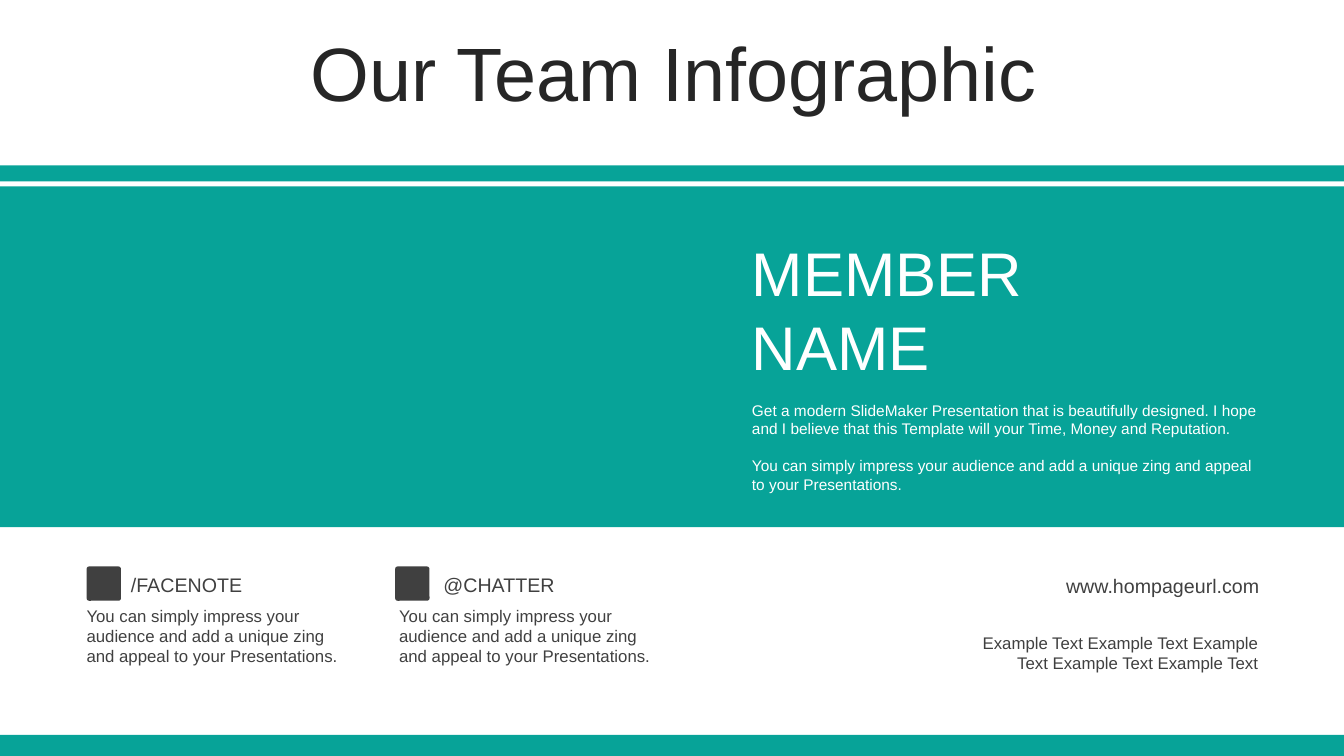
from dataclasses import dataclass

from pptx import Presentation
from pptx.dml.color import RGBColor
from pptx.enum.shapes import MSO_SHAPE
from pptx.enum.text import MSO_ANCHOR, MSO_AUTO_SIZE, PP_ALIGN
from pptx.util import Inches, Pt


@dataclass(frozen=True)
class Theme:
    """Hold the font, colours and type sizes."""
    font: str = "Arial"
    teal: str = "07A398"
    dark: str = "262626"
    gray: str = "404040"
    white: str = "FFFFFF"
    title: int = 54
    name: int = 44
    label: int = 14
    body: int = 12
    small: int = 11


THEME = Theme()
WIDE, HIGH = 13.33, 7.5
PITCH = "You can simply impress your audience and add a unique zing and appeal to your Presentations."
INTRO = ("Get a modern SlideMaker Presentation that is beautifully designed. "
         "I hope and I believe that this Template will your Time, Money and Reputation.")


def place(shape, box):
    """Move a shape to a box given in inches."""
    shape.left, shape.top, shape.width, shape.height = map(Inches, box)


def write(frame, lines, size, color, align=PP_ALIGN.LEFT, gap=0):
    """Fill a text frame with one run per paragraph."""
    for i, line in enumerate(lines):
        para = frame.add_paragraph() if i else frame.paragraphs[0]
        para.alignment = align
        para.space_before = Pt(gap if i else 0)
        run = para.add_run()
        run.text = line
        run.font.name = THEME.font
        run.font.size = Pt(size)
        run.font.color.rgb = RGBColor.from_string(color)


def add_title(slide, text, box):
    """Set the slide title in its placeholder."""
    title = slide.shapes.title
    place(title, box)
    frame = title.text_frame
    frame.auto_size = MSO_AUTO_SIZE.NONE
    frame.vertical_anchor = MSO_ANCHOR.MIDDLE
    write(frame, [text], THEME.title, THEME.dark, PP_ALIGN.CENTER)
    frame.paragraphs[0].line_spacing = 0.9


def add_text(slide, lines, box, size, color, anchor=MSO_ANCHOR.TOP, **style):
    """Add a wrapped text box."""
    frame = slide.shapes.add_textbox(*map(Inches, box)).text_frame
    frame.word_wrap = True
    frame.vertical_anchor = anchor
    write(frame, lines, size, color, **style)


def add_block(slide, box, color, kind=MSO_SHAPE.RECTANGLE):
    """Add a plain filled shape."""
    shape = slide.shapes.add_shape(kind, *map(Inches, box))
    shape.shadow.inherit = False
    shape.fill.solid()
    shape.fill.fore_color.rgb = RGBColor.from_string(color)
    shape.line.fill.background()
    return shape


def add_social(slide, label, icon, name, left):
    """Add a social column with icon, label and pitch."""
    badge = add_block(slide, (icon, 5.62, 0.34, 0.34), THEME.gray, MSO_SHAPE.ROUNDED_RECTANGLE)
    badge.adjustments[0] = 0.07
    add_text(slide, [label], (name, 5.63, 1.34, 0.34), THEME.label, THEME.gray, MSO_ANCHOR.MIDDLE)
    add_text(slide, [PITCH], (left, 5.96, 2.81, 0.71), THEME.body, THEME.gray)


def main():
    """Build the team slide and save it."""
    deck = Presentation()
    deck.slide_width, deck.slide_height = Inches(WIDE), Inches(HIGH)
    slide = deck.slides.add_slide(deck.slide_layouts[5])

    for top, height in ((1.85, 3.38), (1.64, 0.16), (7.29, 0.21)):
        add_block(slide, (0, top, WIDE, height), THEME.teal)
    add_title(slide, "Our Team Infographic", (0.35, 0.37, 12.66, 0.79))

    add_text(slide, ["MEMBER", "NAME"], (7.36, 2.28, 3.33, 1.58), THEME.name, THEME.white)
    add_text(slide, [INTRO, PITCH], (7.36, 3.93, 5.27, 1.03), THEME.small, THEME.white, gap=13)

    add_social(slide, "/FACENOTE", 0.86, 1.2, 0.76)
    add_social(slide, "@CHATTER", 3.92, 4.3, 3.86)

    add_text(slide, ["www.hompageurl.com"], (10.26, 5.64, 2.33, 0.34), THEME.label,
             THEME.gray, MSO_ANCHOR.MIDDLE, align=PP_ALIGN.RIGHT)
    add_text(slide, ["Example Text Example Text Example Text Example Text Example Text"],
             (9.57, 6.23, 3.01, 0.5), THEME.body, THEME.gray, MSO_ANCHOR.MIDDLE, align=PP_ALIGN.RIGHT)
    deck.save("out.pptx")


if __name__ == "__main__":
    main()
